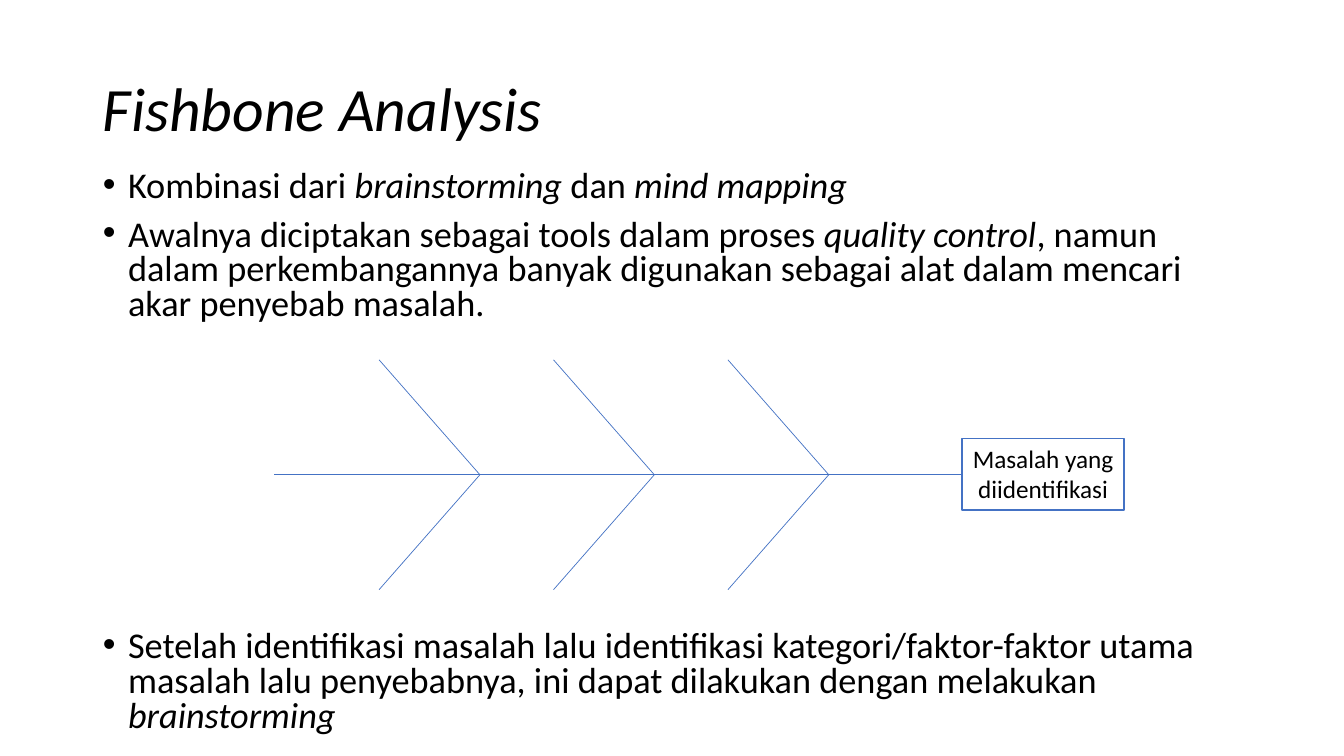
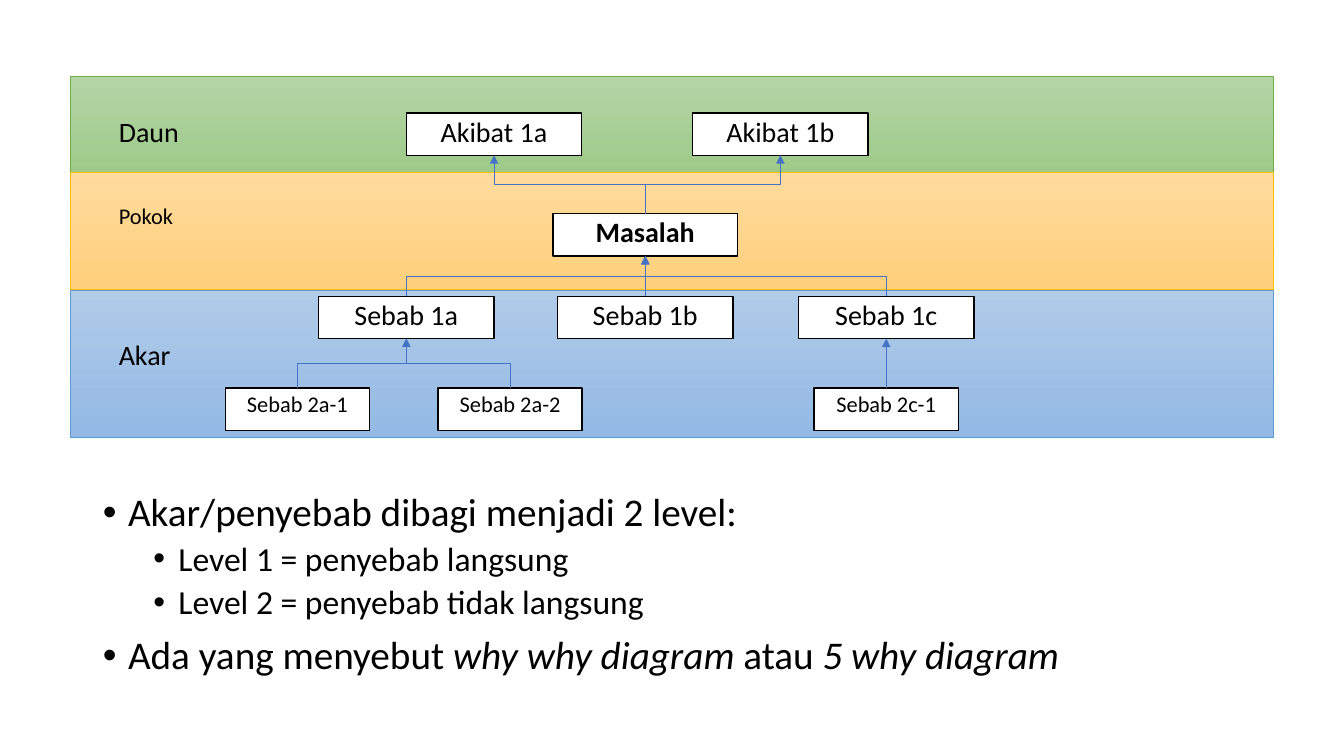
from math import copysign

from lxml.etree import SubElement
from pptx import Presentation
from pptx.dml.color import RGBColor
from pptx.enum.shapes import MSO_CONNECTOR as Link, MSO_SHAPE as Preset
from pptx.enum.text import MSO_ANCHOR as Anchor, MSO_AUTO_SIZE as AutoSize, PP_ALIGN as Align
from pptx.oxml.ns import qn
from pptx.util import Inches, Pt

FONT = "Calibri"
COLORS = {
    "text": "000000", "paper": "FFFFFF", "line": "4472C4",
    "leaf_top": "B5D5A7", "leaf_bottom": "9CC987", "leaf_edge": "70AD47",
    "trunk_top": "FFDB9E", "trunk_bottom": "FFD07C", "trunk_edge": "FFC000",
    "root_top": "B1CBE9", "root_bottom": "93B9E4", "root_edge": "5B9BD5",
}

FISHBONE_TITLE = "Fishbone Analysis"
# (level, size, space before, text); asterisks enclose italics
FISHBONE_LIST = [
    (0, 25.9, 10, "Kombinasi dari *brainstorming *dan *mind mapping*"),
    (0, 25.9, 10, "Awalnya diciptakan sebagai tools dalam proses *quality control*, namun dalam "
                  "perkembangannya banyak digunakan sebagai alat dalam mencari akar penyebab masalah."),
    (0, 25.9, 219.4, "Setelah identifikasi masalah lalu identifikasi kategori/faktor-faktor utama "
                     "masalah lalu penyebabnya, ini dapat dilakukan dengan melakukan *brainstorming*"),
]
FISH_HEAD = "Masalah yang diidentifikasi"
SPINE_Y, SPINE_LEFT, SPINE_RIGHT = 4.71, 2.72, 9.54
FIRST_JOINT, JOINT_STEP, JOINT_COUNT = 4.76, 1.73, 3
RIB_WIDTH, RIB_HEIGHT = 1, 1.14

BANDS = [("leaf", 0.76, 1.02), ("root", 2.88, 1.46), ("trunk", 1.71, 1.16)]
BAND_LABELS = [("Daun", 1.12, 20), ("Pokok", 1.99, 16), ("Akar", 3.34, 20)]
BOX_HEIGHT = 0.42
TREE_ROWS = [
    (2.12, 1.83, 20, True, [("Masalah", 6.4)]),
    (1.12, 1.74, 20, False, [("Akibat 1a", 4.9), ("Akibat 1b", 7.74)]),
    (2.94, 1.74, 20, False, [("Sebab 1a", 4.03), ("Sebab 1b", 6.4), ("Sebab 1c", 8.79)]),
    (3.85, 1.43, 16, False, [("Sebab 2a-1", 2.95), ("Sebab 2a-2", 5.06), ("Sebab 2c-1", 8.79)]),
]
TREE_LINKS = [
    ("Masalah", "Akibat 1a"), ("Masalah", "Akibat 1b"),
    ("Sebab 1a", "Masalah"), ("Sebab 1b", "Masalah"), ("Sebab 1c", "Masalah"),
    ("Sebab 2c-1", "Sebab 1c"), ("Sebab 2a-1", "Sebab 1a"), ("Sebab 2a-2", "Sebab 1a"),
]
TREE_LIST = [
    (0, 28, 10, "Akar/penyebab dibagi menjadi 2 level:"),
    (1, 24, 5, "Level 1 = penyebab langsung"),
    (1, 24, 5, "Level 2 = penyebab tidak langsung"),
    (0, 28, 10, "Ada yang menyebut *why why diagram *atau *5 why diagram*"),
]


def color(name):
    return RGBColor.from_string(COLORS[name])


def place(shape, left, top, width, height):
    shape.left, shape.top = Inches(left), Inches(top)
    shape.width, shape.height = Inches(width), Inches(height)


def style_paragraph(paragraph, size, spacing=0.9, align=Align.LEFT, after=0):
    paragraph.alignment = align
    paragraph.line_spacing = spacing
    paragraph.space_after = Pt(after)
    font = paragraph.font
    font.name, font.size = FONT, Pt(size)
    font.color.rgb = color("text")


def fill_title(slide, text):
    title = slide.shapes.title
    place(title, 0.92, 0.38, 11.5, 1.45)
    frame = title.text_frame
    frame.auto_size, frame.vertical_anchor = AutoSize.NONE, Anchor.MIDDLE
    frame.text = text
    style_paragraph(frame.paragraphs[0], 44)
    frame.paragraphs[0].font.italic = True


def fill_list(slide, items, top, height, spacing):
    body = slide.placeholders[1]
    place(body, 0.92, top, 11.5, height)
    frame = body.text_frame
    frame.auto_size, frame.vertical_anchor = AutoSize.NONE, Anchor.TOP
    for index, (level, size, before, text) in enumerate(items):
        paragraph = frame.add_paragraph() if index else frame.paragraphs[0]
        paragraph.level = level
        style_paragraph(paragraph, size, spacing)
        paragraph.space_before = Pt(before)
        properties = paragraph._p.get_or_add_pPr()
        properties.set("marL", str(Inches(0.25 + 0.5 * level)))
        properties.set("indent", str(Inches(-0.25)))
        bullet_font = properties.makeelement(qn("a:buFont"), {"typeface": "Arial"})
        bullet = properties.makeelement(qn("a:buChar"), {"char": "•"})
        default_run = properties.find(qn("a:defRPr"))
        default_run.addprevious(bullet_font)
        default_run.addprevious(bullet)
        for part, words in enumerate(text.split("*")):
            if words:
                run = paragraph.add_run()
                run.text = words
                if part % 2:
                    run.font.italic = True


def add_box(slide, left, top, width, height, edge, weight=1):
    box = slide.shapes.add_shape(Preset.RECTANGLE, *map(Inches, (left, top, width, height)))
    box.shadow.inherit = False
    box.fill.solid()
    box.fill.fore_color.rgb = color("paper")
    box.line.color.rgb = color(edge)
    box.line.width = Pt(weight)
    return box


def write(shape, text, size, spacing=0.9, align=Align.CENTER, after=6, bold=False):
    frame = shape.text_frame
    frame.word_wrap, frame.vertical_anchor = True, Anchor.TOP
    frame.text = text
    style_paragraph(frame.paragraphs[0], size, spacing, align, after)
    frame.paragraphs[0].font.bold = bold


def add_line(slide, begin, end, kind=Link.STRAIGHT, arrow=False):
    line = slide.shapes.add_connector(kind, *map(Inches, (*begin, *end)))
    line.line.color.rgb = color("line")
    line.line.width = Pt(0.5)
    if arrow:
        SubElement(line.line._get_or_add_ln(), qn("a:tailEnd"), type="triangle")
    SubElement(line.element.spPr, qn("a:effectLst"))
    return line


def add_upward_arrow(slide, begin, end):
    shift, rise = end[0] - begin[0], begin[1] - end[1]
    if not shift:
        return add_line(slide, begin, end, arrow=True)
    middle_x, middle_y = (begin[0] + end[0]) / 2, (begin[1] + end[1]) / 2
    reach, half = copysign(rise / 2, shift), abs(shift) / 2
    arrow = add_line(slide, (middle_x + reach, middle_y + half),
                     (middle_x - reach, middle_y - half), Link.ELBOW, True)
    turn = 90 if shift > 0 else 270
    arrow.element.spPr.find(qn("a:xfrm")).set("rot", str(turn * 60000))
    return arrow


def build_fishbone(slide):
    fill_title(slide, FISHBONE_TITLE)
    fill_list(slide, FISHBONE_LIST, 1.64, 5.76, 0.8)
    head = add_box(slide, SPINE_RIGHT, 4.35, 1.61, 0.71, "line")
    write(head, FISH_HEAD, 18, spacing=1, after=0)
    add_line(slide, (SPINE_RIGHT, SPINE_Y), (SPINE_LEFT, SPINE_Y))
    for index in range(JOINT_COUNT):
        joint = FIRST_JOINT + index * JOINT_STEP
        for side in (-1, 1):
            add_line(slide, (joint - RIB_WIDTH, SPINE_Y + side * RIB_HEIGHT), (joint, SPINE_Y))


def build_tree(slide):
    title = slide.shapes.title.element
    title.getparent().remove(title)
    for name, top, height in BANDS:
        band = add_box(slide, 0.7, top, 11.93, height, name + "_edge", 0.5)
        band.fill.gradient()
        band.fill.gradient_angle = 270
        for stop, position, end in zip(band.fill.gradient_stops, (0, 1), ("_top", "_bottom")):
            stop.position = position
            stop.color.rgb = color(name + end)

    spots = {}
    for top, width, size, bold, boxes in TREE_ROWS:
        for text, center in boxes:
            box = add_box(slide, center - width / 2, top, width, BOX_HEIGHT, "text")
            write(box, text, size, bold=bold)
            spots[text] = (center, top)
    for source, target in TREE_LINKS:
        center, top = spots[target]
        add_upward_arrow(slide, spots[source], (center, top + BOX_HEIGHT))

    for text, top, size in BAND_LABELS:
        label = slide.shapes.add_textbox(*map(Inches, (1.08, top, 0.86, BOX_HEIGHT)))
        write(label, text, size, align=Align.LEFT)
    fill_list(slide, TREE_LIST, 4.84, 2.38, 0.9)


presentation = Presentation()
presentation.slide_width, presentation.slide_height = Inches(13.33), Inches(7.5)
for build in (build_fishbone, build_tree):
    build(presentation.slides.add_slide(presentation.slide_layouts[1]))
presentation.save("out.pptx")
